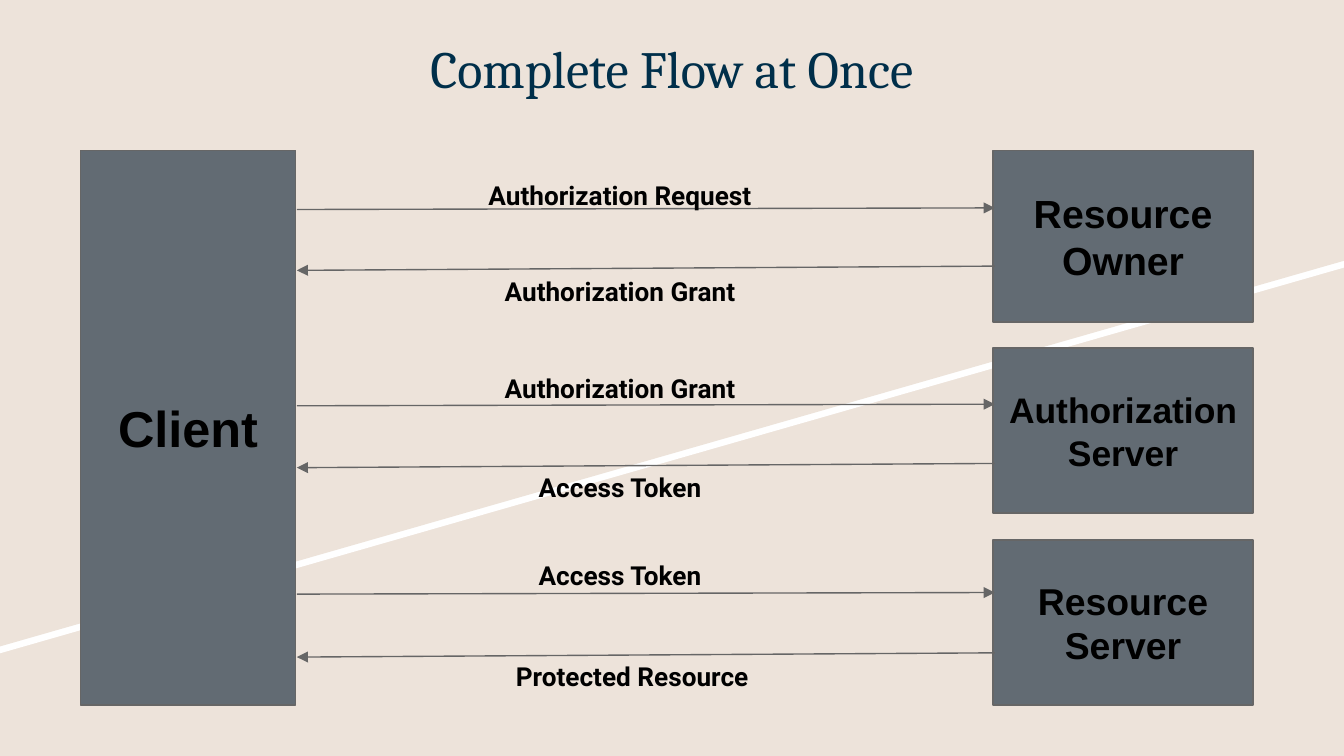
from lxml.etree import SubElement
from pptx import Presentation
from pptx.dml.color import RGBColor
from pptx.enum.shapes import MSO_CONNECTOR, MSO_SHAPE
from pptx.enum.text import MSO_ANCHOR, PP_ALIGN
from pptx.oxml.ns import qn
from pptx.util import Cm, Pt

SAND = RGBColor(0xED, 0xE3, 0xDA)
WHITE = RGBColor(0xFF, 0xFF, 0xFF)
NAVY = RGBColor(0x00, 0x2F, 0x4A)
SLATE = RGBColor(0x62, 0x6B, 0x73)
GREY = RGBColor(0x66, 0x66, 0x66)
BLACK = RGBColor(0x00, 0x00, 0x00)

WIDE, HIGH = 25.4, 14.29
TITLE = ("Complete Flow at Once", (0.86, 0.23, 23.67, 2.11))
BANDS = [(WHITE, 0.13), (SAND, 0)]
BOXES = [
    ("Client", 27, (1.52, 2.84, 4.07, 10.49)),
    ("Resource Owner", 21, (18.77, 2.84, 4.91, 3.25)),
    ("Authorization Server", 19, (18.77, 6.58, 4.91, 3.12)),
    ("Resource Server", 20, (18.77, 10.21, 4.91, 3.12)),
]
NEAR, FAR = 5.61, 18.8
SENDS = [3.96, 7.67, 11.23]
REPLIES = [5.03, 8.76, 12.34]
LABELS = [
    ("Authorization Request", 6.96, 3.12),
    ("Authorization Grant", 6.96, 4.95),
    ("Authorization Grant", 6.96, 6.78),
    ("Access Token", 6.96, 8.64),
    ("Access Token", 6.96, 10.31),
    ("Protected Resource", 7.19, 12.22),
]
FRAME = {
    "word_wrap": True,
    "vertical_anchor": MSO_ANCHOR.MIDDLE,
    "margin_left": Cm(0.25),
    "margin_right": Cm(0.25),
    "margin_top": Cm(0.25),
    "margin_bottom": Cm(0.25),
}


def apply(item, values):
    for key, value in values.items():
        setattr(item, key, value)


def write(shape, text, font, size, color, bold):
    frame = shape.text_frame
    apply(frame, FRAME)
    para = frame.paragraphs[0]
    para.alignment = PP_ALIGN.CENTER
    run = para.add_run()
    run.text = text
    apply(run.font, {"name": font, "size": Pt(size), "bold": bold})
    run.font.color.rgb = color


def paint(shape, color):
    shape.shadow.inherit = False
    shape.fill.solid()
    shape.fill.fore_color.rgb = color


def stroke(line):
    line.color.rgb = GREY
    line.width = Pt(0.75)


def band(shapes, color, top):
    points = [(WIDE, top), (WIDE, top + 4.93), (0, top + 12.22)]
    path = shapes.build_freeform(0, Cm(top))
    path.add_line_segments([(Cm(x), Cm(y)) for x, y in points])
    shape = path.convert_to_shape()
    paint(shape, color)
    shape.line.fill.background()


def arrow(shapes, *ends):
    line = shapes.add_connector(MSO_CONNECTOR.STRAIGHT, *map(Cm, ends))
    stroke(line.line)
    props = line.line._get_or_add_ln()
    SubElement(props, qn("a:tailEnd"), type="triangle")
    SubElement(line._element.spPr, qn("a:effectLst"))


def main():
    deck = Presentation()
    apply(deck, {"slide_width": Cm(WIDE), "slide_height": Cm(HIGH)})
    slide = deck.slides.add_slide(deck.slide_layouts[6])
    slide.background.fill.solid()
    slide.background.fill.fore_color.rgb = SAND
    shapes = slide.shapes

    for color, top in BANDS:
        band(shapes, color, top)

    text, place = TITLE
    title = shapes.add_textbox(*map(Cm, place))
    write(title, text, "Cambria", 28, NAVY, False)

    for text, size, place in BOXES:
        box = shapes.add_shape(MSO_SHAPE.RECTANGLE, *map(Cm, place))
        paint(box, SLATE)
        stroke(box.line)
        write(box, text, "Arial", size, BLACK, True)

    for send, reply in zip(SENDS, REPLIES):
        arrow(shapes, NEAR, send, FAR, send - 0.03)
        arrow(shapes, FAR, reply, NEAR, reply + 0.08)

    for text, left, top in LABELS:
        label = shapes.add_textbox(*map(Cm, (left, top, 9.52, 1.12)))
        write(label, text, "Roboto", 14, BLACK, True)

    deck.save("out.pptx")


if __name__ == "__main__":
    main()
